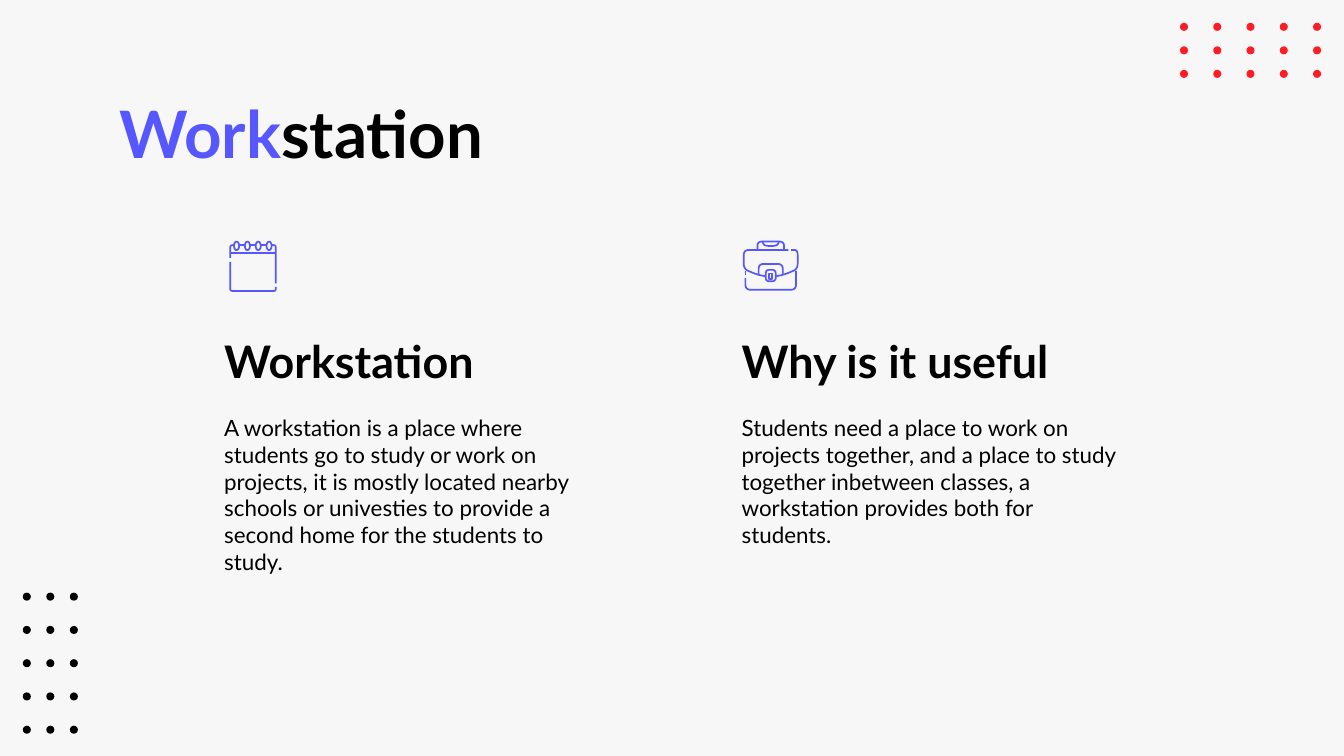
from dataclasses import dataclass
from math import dist

from pptx import Presentation
from pptx.dml.color import RGBColor
from pptx.enum.shapes import MSO_SHAPE
from pptx.enum.text import MSO_ANCHOR
from pptx.util import Inches, Pt

ELLIPSE = MSO_SHAPE.OVAL
RECTANGLE = MSO_SHAPE.RECTANGLE
ROUNDED = MSO_SHAPE.ROUNDED_RECTANGLE
TOP, BOTTOM = MSO_ANCHOR.TOP, MSO_ANCHOR.BOTTOM


@dataclass(frozen=True)
class Theme:
    background: RGBColor = RGBColor(0xF7, 0xF7, 0xF7)
    ink: RGBColor = RGBColor(0, 0, 0)
    accent: RGBColor = RGBColor(0x57, 0x57, 0xFF)
    red: RGBColor = RGBColor(0xFF, 0x1D, 0x25)
    font: str = "Lato"
    title: float = 35
    heading: float = 24
    body: float = 12
    icon_line: float = 0.9


THEME = Theme()

# Icon strokes, in percent of the icon's box
CALENDAR_STROKES = [
    [(1, 34), (1, 9), (98, 9), (98, 84)],
    [(1, 25), (98, 25)],
    [(1, 42), (1, 99), (98, 99), (98, 91)],
]
BRIEFCASE_STROKES = [
    # Handle
    [(26, 18), (26, 2), (74, 2), (74, 18)],
    [(35, 3), (39, 11), (61, 11), (65, 3)],
    # Flap
    [(82, 19), (1, 19), (1, 57), (15, 64), (27, 69), (40, 72)],
    [(60, 72), (73, 69), (85, 64), (99, 57), (99, 19), (87, 19)],
    # Pocket
    [(28, 68), (28, 47), (72, 47), (72, 68)],
    # Body
    [(4, 61), (4, 69)],
    [(4, 75), (4, 99), (96, 99), (96, 61)],
]


def add_dots(slide, left, top, width, height, columns, rows, color):
    dot = 0.06
    column_step = (width - dot) / (columns - 1)
    row_step = (height - dot) / (rows - 1)
    for row in range(rows):
        for column in range(columns):
            shape = slide.shapes.add_shape(
                ELLIPSE, Inches(left + column * column_step),
                Inches(top + row * row_step), Inches(dot), Inches(dot))
            shape.shadow.inherit = False
            shape.fill.solid()
            shape.fill.fore_color.rgb = color
            shape.line.fill.background()


def add_text(slide, left, top, width, height, runs, size, bold=False, anchor=TOP):
    """Add one paragraph made of (text, color) runs."""
    box = slide.shapes.add_textbox(
        Inches(left), Inches(top), Inches(width), Inches(height))
    frame = box.text_frame
    frame.word_wrap = True
    frame.vertical_anchor = anchor
    frame.margin_left = frame.margin_right = Inches(0.1)
    frame.margin_top = frame.margin_bottom = Inches(0.1)
    paragraph = frame.paragraphs[0]
    paragraph.font.name = THEME.font
    paragraph.font.size = Pt(size)
    paragraph.font.bold = bold
    for text, color in runs:
        run = paragraph.add_run()
        run.text = text
        run.font.color.rgb = color


def style_outline(shape):
    shape.shadow.inherit = False
    shape.line.color.rgb = THEME.accent
    shape.line.width = Pt(THEME.icon_line)


def toward(start, end, share):
    return tuple(a + (b - a) * share for a, b in zip(start, end))


def round_corners(points, radius, steps=6):
    """Replace each inner corner by points on a quadratic curve."""
    rounded = [points[0]]
    for before, corner, after in zip(points, points[1:], points[2:]):
        entry = toward(corner, before, min(0.5, radius / dist(corner, before)))
        leave = toward(corner, after, min(0.5, radius / dist(corner, after)))
        for step in range(steps + 1):
            share = step / steps
            rounded.append(toward(toward(entry, corner, share),
                                  toward(corner, leave, share), share))
    return rounded + [points[-1]]


def add_strokes(slide, left, top, width, height, strokes, radius):
    for stroke in strokes:
        corners = [(Inches(left + x * width / 100), Inches(top + y * height / 100))
                   for x, y in stroke]
        points = round_corners(corners, Inches(radius))
        builder = slide.shapes.build_freeform(*points[0])
        builder.add_line_segments(points[1:], close=False)
        shape = builder.convert_to_shape()
        shape.fill.background()
        style_outline(shape)


def add_icon_part(slide, left, top, width, height, kind, part):
    """Add an outlined preset shape; part is x, y, width, height in percent."""
    x, y, part_width, part_height = part
    shape = slide.shapes.add_shape(
        kind, Inches(left + x * width / 100), Inches(top + y * height / 100),
        Inches(part_width * width / 100), Inches(part_height * height / 100))
    shape.fill.solid()
    shape.fill.fore_color.rgb = THEME.background
    style_outline(shape)
    return shape


def add_calendar(slide, left, top):
    box = (left, top, 0.35, 0.38)
    add_strokes(slide, *box, CALENDAR_STROKES, radius=0.02)
    for ring in range(4):
        add_icon_part(slide, *box, ELLIPSE, (9 + 23 * ring, 2, 11, 17))


def add_briefcase(slide, left, top):
    box = (left, top, 0.41, 0.37)
    add_strokes(slide, *box, BRIEFCASE_STROKES, radius=0.04)
    clasp = add_icon_part(slide, *box, ROUNDED, (41, 59, 18, 23))
    clasp.adjustments[0] = 0.3
    add_icon_part(slide, *box, RECTANGLE, (47, 66, 6, 11))


def add_column(slide, left, top, add_icon, icon_offset, heading, body):
    width, heading_top = 3, top + 0.65
    add_icon(slide, left + icon_offset, top)
    add_text(slide, left, heading_top, width, 0.54, [(heading, THEME.ink)],
             THEME.heading, bold=True, anchor=BOTTOM)
    add_text(slide, left, heading_top + 0.54, width, 1.62,
             [(body, THEME.ink)], THEME.body)


def main():
    # Widescreen page, 16 to 9
    presentation = Presentation()
    presentation.slide_width = Inches(10)
    presentation.slide_height = Inches(10) * 9 // 16
    slide = presentation.slides.add_slide(presentation.slide_layouts[6])
    slide.background.fill.solid()
    slide.background.fill.fore_color.rgb = THEME.background

    # Corner decorations
    add_dots(slide, 0.17, 4.41, 0.41, 1.05, 3, 5, THEME.ink)
    add_dots(slide, 8.78, 0.17, 1.05, 0.41, 5, 3, THEME.red)

    # Title
    add_text(slide, 0.79, 0.59, 8.43, 0.63,
             [("Work", THEME.accent), ("station", THEME.ink)],
             THEME.title, bold=True)

    # Two columns
    add_column(slide, 1.57, 1.79, add_calendar, 0.14, "Workstation",
               "A workstation is a place where students go to study or work on "
               "projects, it is mostly located nearby schools or univesties to "
               "provide a second home for the students to study.")
    add_column(slide, 5.42, 1.79, add_briefcase, 0.11, "Why is it useful",
               "Students need a place to work on projects together, and a place "
               "to study together inbetween classes, a workstation provides both "
               "for students.")

    presentation.save("out.pptx")


if __name__ == "__main__":
    main()
